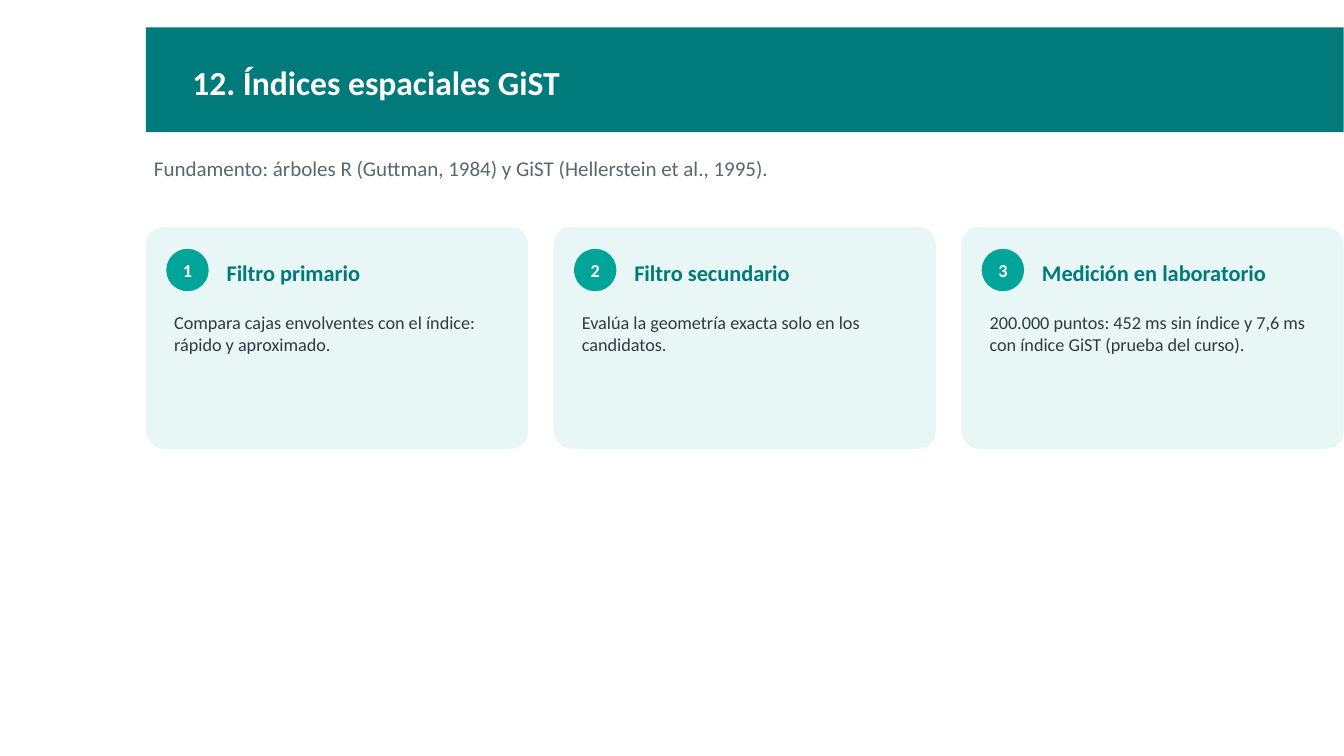
from pptx import Presentation
from pptx.dml.color import RGBColor
from pptx.enum.shapes import MSO_SHAPE
from pptx.enum.text import MSO_ANCHOR, MSO_AUTO_SIZE, PP_ALIGN
from pptx.util import Cm, Pt

WHITE = RGBColor(0xFF, 0xFF, 0xFF)
TEAL = RGBColor(0x00, 0x7A, 0x7A)
BRIGHT_TEAL = RGBColor(0x00, 0xA4, 0x99)
PALE_TEAL = RGBColor(0xE8, 0xF7, 0xF6)
GRAY = RGBColor(0x5A, 0x67, 0x6E)
DARK = RGBColor(0x2E, 0x3A, 0x40)

LEFT, WIDTH = 3.68, 30.18
CARD_TOP, CARD_W, CARD_H = 5.72, 9.63, 5.59
CARDS = [
    ("Filtro primario",
     "Compara cajas envolventes con el índice: rápido y aproximado."),
    ("Filtro secundario",
     "Evalúa la geometría exacta solo en los candidatos."),
    ("Medición en laboratorio",
     "200.000 puntos: 452 ms sin índice y 7,6 ms con índice GiST (prueba del curso)."),
]
STEP = CARD_W + (WIDTH - len(CARDS) * CARD_W) / (len(CARDS) - 1)

prs = Presentation()
prs.slide_width, prs.slide_height = Cm(33.87), Cm(19.05)
s = prs.slides.add_slide(prs.slide_layouts[6])


def add_box(x, y, w, h, color, kind=MSO_SHAPE.RECTANGLE):
    sp = s.shapes.add_shape(kind, Cm(x), Cm(y), Cm(w), Cm(h))
    sp.shadow.inherit = False
    sp.fill.solid()
    sp.fill.fore_color.rgb = color
    sp.line.fill.background()
    return sp


def add_text(x, y, w, h, text, size, color, bold=False,
             anchor=MSO_ANCHOR.TOP, align=PP_ALIGN.LEFT):
    tf = s.shapes.add_textbox(Cm(x), Cm(y), Cm(w), Cm(h)).text_frame
    tf.word_wrap = True
    tf.auto_size = MSO_AUTO_SIZE.SHAPE_TO_FIT_TEXT
    tf.vertical_anchor = anchor
    tf.margin_left = tf.margin_right = Cm(0.2)
    tf.margin_top = tf.margin_bottom = Cm(0.1)
    p = tf.paragraphs[0]
    p.alignment = align
    p.space_after = Pt(6)
    r = p.add_run()
    r.text = text
    r.font.name = "Calibri"
    r.font.size = Pt(size)
    r.font.bold = bold
    r.font.color.rgb = color


add_box(LEFT, 0.69, WIDTH, 2.64, TEAL)
add_text(4.65, 0.97, 27.69, 2.21, "12. Índices espaciales GiST", 24, WHITE,
         bold=True, anchor=MSO_ANCHOR.MIDDLE)
add_text(LEFT, 3.81, WIDTH, 1.78,
         "Fundamento: árboles R (Guttman, 1984) y GiST (Hellerstein et al., 1995).",
         15, GRAY)

for i, (heading, body) in enumerate(CARDS):
    x = LEFT + i * STEP
    card = add_box(x, CARD_TOP, CARD_W, CARD_H, PALE_TEAL, MSO_SHAPE.ROUNDED_RECTANGLE)
    card.adjustments[0] = 0.08
    badge = (x + 0.51, CARD_TOP + 0.55, 1.07, 1.07)
    add_box(*badge, BRIGHT_TEAL, MSO_SHAPE.OVAL)
    add_text(*badge, str(i + 1), 13, WHITE, bold=True,
             anchor=MSO_ANCHOR.MIDDLE, align=PP_ALIGN.CENTER)
    add_text(x + 1.83, CARD_TOP + 0.45, 7.34, 1.4, heading, 16, TEAL,
             bold=True, anchor=MSO_ANCHOR.MIDDLE)
    add_text(x + 0.51, CARD_TOP + 2.03, 8.61, 3.3, body, 13, DARK)

prs.save("out.pptx")
